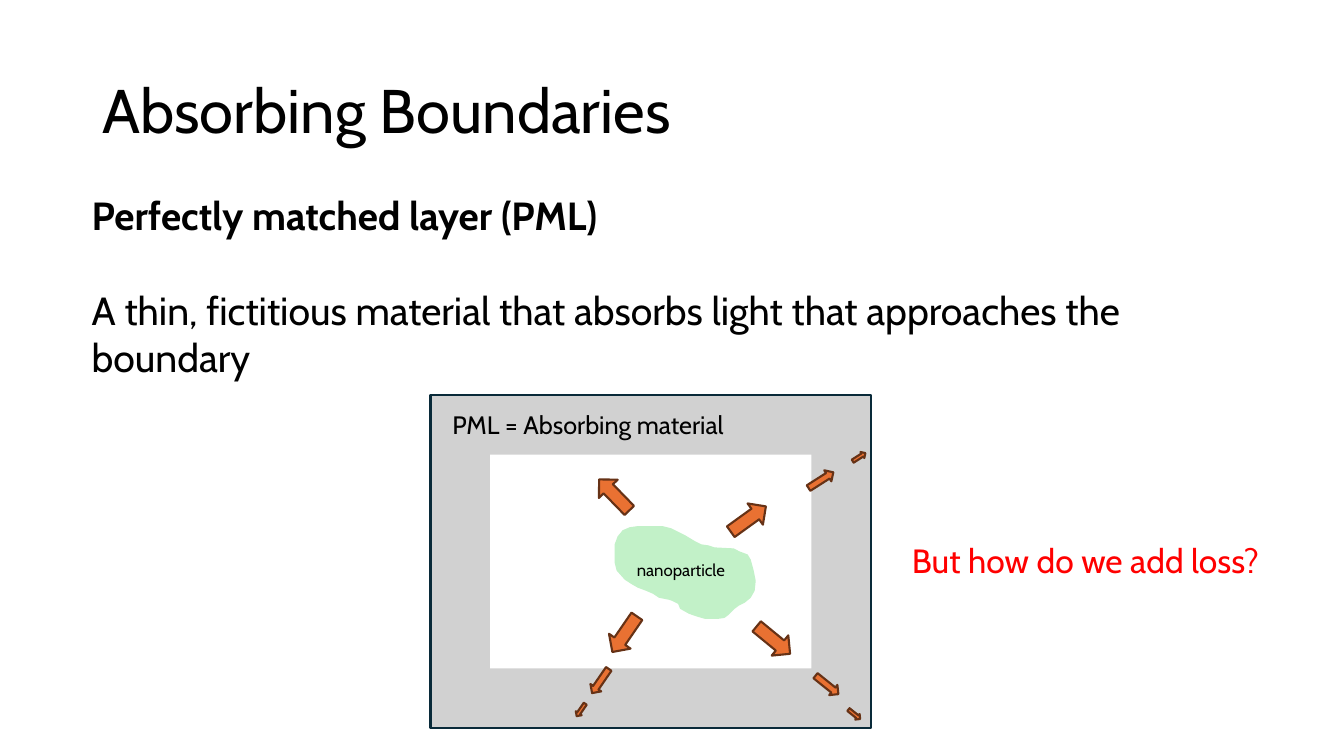
from pptx import Presentation
from pptx import util as u
from pptx.dml.color import RGBColor
from pptx.enum import shapes, text

Cm, Pt = u.Cm, u.Pt
BLACK, RED, GREY, NAVY = "000000", "FF0000", "D1D1D1", "092A39"
GREEN, ORANGE, BROWN = "C2F1C8", "E97132", "663216"

presentation = Presentation()
presentation.slide_width, presentation.slide_height = Cm(33.87), Cm(19.05)
slide = presentation.slides.add_slide(presentation.slide_layouts[6])


def paint(shape, fill=None, line=None):
    """Set fill and outline; None leaves that part empty."""
    shape.shadow.inherit = False
    for part, color in ((shape.fill, fill), (shape.line.fill, line)):
        if color:
            part.solid()
            part.fore_color.rgb = RGBColor.from_string(color)
        else:
            part.background()
    if line:
        shape.line.width = Pt(1.5)


def add_text(box, lines, size, color=BLACK, anchor=text.MSO_ANCHOR.TOP, spacing=1.0, gap=0):
    """Add a text box; lines holds (wording, bold) pairs, gap is in points."""
    frame = slide.shapes.add_textbox(*map(Cm, box)).text_frame
    frame.word_wrap = True
    frame.vertical_anchor = anchor
    for index, (wording, bold) in enumerate(lines):
        paragraph = frame.paragraphs[0] if index == 0 else frame.add_paragraph()
        paragraph.line_spacing = spacing
        if index:
            paragraph.space_before = Pt(gap)
        run = paragraph.add_run()
        run.text = wording
        for name, value in {"name": "Cabin", "size": Pt(size), "bold": bold}.items():
            setattr(run.font, name, value)
        run.font.color.rgb = RGBColor.from_string(color)


add_text((2.33, 1.02, 29.21, 3.68), [("Absorbing Boundaries", False)], 44,
         anchor=text.MSO_ANCHOR.MIDDLE, spacing=0.9)

# Absorbing layer: four grey strips inside an outlined frame
left, top, width, height, thickness = 10.85, 9.96, 11.1, 8.38, 1.5
strips = [
    (left + width - thickness, top, thickness, height),
    (left, top, thickness, height),
    (left, top, width, thickness),
    (left, top + height - thickness, width, thickness),
]
for strip in strips:
    paint(slide.shapes.add_shape(shapes.MSO_SHAPE.RECTANGLE, *map(Cm, strip)), fill=GREY)
frame_box = slide.shapes.add_shape(
    shapes.MSO_SHAPE.RECTANGLE, Cm(left), Cm(top), Cm(width), Cm(height))
paint(frame_box, line=NAVY)
add_text((11.15, 10.19, 8.28, 1.02), [("PML = Absorbing material", False)], 18)

# Nanoparticle outline, in hundredths of an inch from its top left corner
outline = [
    (54, 73), (44, 71), (38, 67), (31, 64), (23, 61), (16, 57), (10, 53), (2, 44),
    (0, 36), (0, 18), (3, 10), (8, 4), (15, 1), (22, 0), (48, 0), (56, 2), (62, 5),
    (70, 9), (80, 15), (86, 18), (93, 19), (99, 21), (118, 22), (124, 25), (132, 28),
    (135, 33), (138, 44), (140, 54), (139, 64), (135, 71), (129, 76), (123, 79),
    (119, 82), (113, 88), (109, 91), (102, 92), (90, 92), (83, 90), (74, 87),
    (65, 82), (63, 77), (57, 74),
]
builder = slide.shapes.build_freeform(*outline[0], scale=Cm(2.54) / 100)
builder.add_line_segments(outline[1:], close=True)
paint(builder.convert_to_shape(Cm(15.49), Cm(13.26)), fill=GREEN)
add_text((15.8, 13.97, 2.92, 0.76), [("nanoparticle", False)], 12)

add_text((2.06, 4.7, 29.74, 5.05), [
    ("Perfectly matched layer (PML)", True),
    ("A thin, fictitious material that absorbs light that approaches the boundary", False),
], 28, gap=34)

# Light leaving the particle: arrows (centre x, centre y, angle) shrink in the layer
arrows = {
    (1.09, 0.66): [(18.86, 13.08, 324.2), (19.49, 16.13, 39.4),
                   (15.74, 15.98, 124.5), (15.48, 12.47, 225.8)],
    (0.74, 0.33): [(15.13, 17.16, 124.5), (20.84, 17.26, 38.8), (20.69, 12.1, 327.5)],
    (0.38, 0.18): [(14.64, 17.89, 124.5), (21.53, 18, 38.8), (21.65, 11.52, 327.5)],
}
for (length, breadth), places in arrows.items():
    for x, y, angle in places:
        arrow = slide.shapes.add_shape(
            shapes.MSO_SHAPE.RIGHT_ARROW, Cm(x - length / 2), Cm(y - breadth / 2),
            Cm(length), Cm(breadth))
        arrow.rotation = angle
        paint(arrow, fill=ORANGE, line=BROWN)

add_text((22.73, 13.49, 11.02, 1.27), [("But how do we add loss?", False)], 24, color=RED)

presentation.save("out.pptx")
